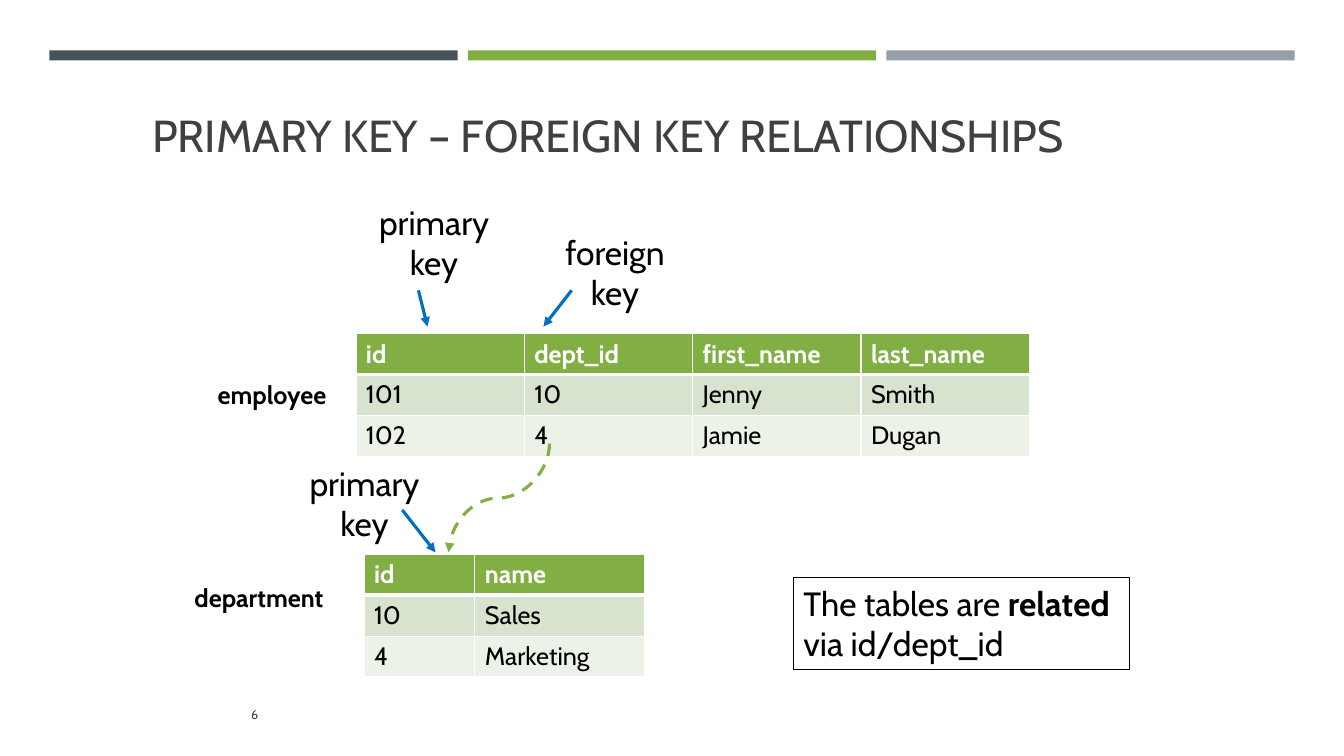
from lxml.etree import SubElement
from pptx import Presentation
from pptx.dml.color import RGBColor
from pptx.enum.dml import MSO_LINE
from pptx.enum.shapes import MSO_CONNECTOR as LINK, MSO_SHAPE as SHAPE
from pptx.enum.text import MSO_ANCHOR as ANCHOR, MSO_AUTO_SIZE as FIT, PP_ALIGN as ALIGN
from pptx.oxml.ns import qn
from pptx.util import Inches, Pt

FONT = "Cabin"
GREEN, BLUE, WHITE, BLACK, GREY = "82AF44", "0070C0", "FFFFFF", "000000", "404040"
ROW_FILLS = [GREEN, "D8E3CF", "EDF2E9"]


def rgb(value):
    """Turn a hex string into a colour."""
    return RGBColor.from_string(value)


def add_span(para, text, size, color=BLACK, bold=False):
    """Add one formatted run to a paragraph."""
    span = para.add_run()
    span.text = text
    span.font.name = FONT
    span.font.size = Pt(size)
    span.font.bold = bold
    span.font.color.rgb = rgb(color)


def add_bar(page, left, color):
    """Draw one of the coloured bars along the top."""
    bar = page.shapes.add_shape(SHAPE.RECTANGLE, Inches(left), Inches(0.5), Inches(4.05), Inches(0.1))
    bar.shadow.inherit = False
    bar.fill.solid()
    bar.fill.fore_color.rgb = rgb(color)
    bar.line.fill.background()


def set_title(page, text):
    """Place and format the title placeholder."""
    title = page.shapes.title
    title.left, title.top, title.width, title.height = map(Inches, (1.41, 0.5, 11.4, 1.15))
    frame = title.text_frame
    frame.auto_size = FIT.NONE
    frame.vertical_anchor = ANCHOR.BOTTOM
    para = frame.paragraphs[0]
    para.alignment = ALIGN.LEFT
    add_span(para, text, 32, GREY)


def add_text(page, place, lines, size, color=BLACK, align=ALIGN.LEFT, anchor=ANCHOR.TOP):
    """Add a text box whose lines are lists of (text, bold) pairs."""
    box = page.shapes.add_textbox(*map(Inches, place))
    frame = box.text_frame
    frame.word_wrap = False
    frame.vertical_anchor = anchor
    para = frame.paragraphs[0]
    para.alignment = align
    for number, line in enumerate(lines):
        if number:
            para.add_line_break()
        for text, bold in line:
            add_span(para, text, size, color, bold)
    return box


def add_key_label(page, left, top, width, kind):
    """Add a centred two-line key label."""
    lines = [[(kind, False)], [("key", False)]]
    add_text(page, (left, top, width, 0.91), lines, 24, align=ALIGN.CENTER)


def set_borders(cell, top, bottom):
    """Give a cell white borders with the given top and bottom widths."""
    props = cell._tc.get_or_add_tcPr()
    for side, width in (("L", 1), ("R", 1), ("T", top), ("B", bottom)):
        edge = SubElement(props, qn(f"a:ln{side}"), w=str(Pt(width)))
        fill = SubElement(edge, qn("a:solidFill"))
        SubElement(fill, qn("a:srgbClr"), val=WHITE)


def add_records(page, left, top, widths, rows):
    """Add a database table with a green header row."""
    row_height = Inches(0.4)
    frame = page.shapes.add_table(len(rows), len(widths), Inches(left), Inches(top),
                                  Inches(sum(widths)), row_height * len(rows))
    table = frame.table
    for column, width in zip(table.columns, widths):
        column.width = Inches(width)
    for r, row in enumerate(rows):
        table.rows[r].height = row_height
        header = r == 0
        for c, text in enumerate(row):
            cell = table.cell(r, c)
            set_borders(cell, 3 if r == 1 else 1, 3 if header else 1)
            cell.fill.solid()
            cell.fill.fore_color.rgb = rgb(ROW_FILLS[r])
            add_span(cell.text_frame.paragraphs[0], text, 18, WHITE if header else BLACK, header)


def add_arrow(page, start, end, color=BLUE, kind=LINK.STRAIGHT):
    """Draw a connector with a triangular head at its end."""
    arrow = page.shapes.add_connector(kind, *map(Inches, (*start, *end)))
    arrow.line.color.rgb = rgb(color)
    arrow.line.width = Pt(2.25)
    SubElement(arrow.line._get_or_add_ln(), qn("a:tailEnd"), type="triangle")
    SubElement(arrow._element.spPr, qn("a:effectLst"))
    return arrow


def add_relation(page):
    """Draw the dashed curve from the foreign key to the primary key."""
    curve = add_arrow(page, (4.41, 4.44), (5.49, 5.44), GREEN, LINK.CURVE)
    curve.line.dash_style = MSO_LINE.DASH
    curve._element.spPr.find(qn("a:xfrm")).set("rot", str(90 * 60000))


def main():
    """Build the slide and save it."""
    deck = Presentation()
    deck.slide_width, deck.slide_height = Inches(13.33), Inches(7.5)
    page = deck.slides.add_slide(deck.slide_layouts[5])

    for number, color in enumerate(["465359", GREEN, "969FA7"]):
        add_bar(page, 0.49 + 4.15 * number, color)
    set_title(page, "PRIMARY KEY – FOREIGN KEY RELATIONSHIPS")

    add_records(page, 3.53, 3.31, [1.67] * 4, [
        ["id", "dept_id", "first_name", "last_name"],
        ["101", "10", "Jenny", "Smith"],
        ["102", "4", "Jamie", "Dugan"],
    ])
    add_records(page, 3.61, 5.5, [1.1, 1.68], [
        ["id", "name"],
        ["10", "Sales"],
        ["4", "Marketing"],
    ])
    add_text(page, (2.06, 3.71, 1.28, 0.4), [[("employee", True)]], 18)
    add_text(page, (1.83, 5.73, 1.51, 0.4), [[("department", True)]], 18)

    add_key_label(page, 3.66, 1.95, 1.29, "primary")
    add_key_label(page, 2.97, 4.54, 1.29, "primary")
    add_key_label(page, 5.5, 2.25, 1.2, "foreign")
    add_arrow(page, (4.15, 2.88), (4.24, 3.24))
    add_arrow(page, (5.67, 2.88), (5.39, 3.24))
    add_arrow(page, (3.99, 5.06), (4.32, 5.48))

    note = add_text(page, (7.87, 5.73, 3.33, 0.91), [
        [("The tables are ", False), ("related", True)],
        [("via id/dept_id", False)],
    ], 24)
    note.line.color.rgb = rgb(BLACK)
    note.line.width = Pt(0.75)
    add_relation(page)
    add_text(page, (0.24, 6.89, 2.42, 0.4), [[("6", False)]], 9, GREY, ALIGN.RIGHT, ANCHOR.MIDDLE)

    deck.save("out.pptx")


main()
